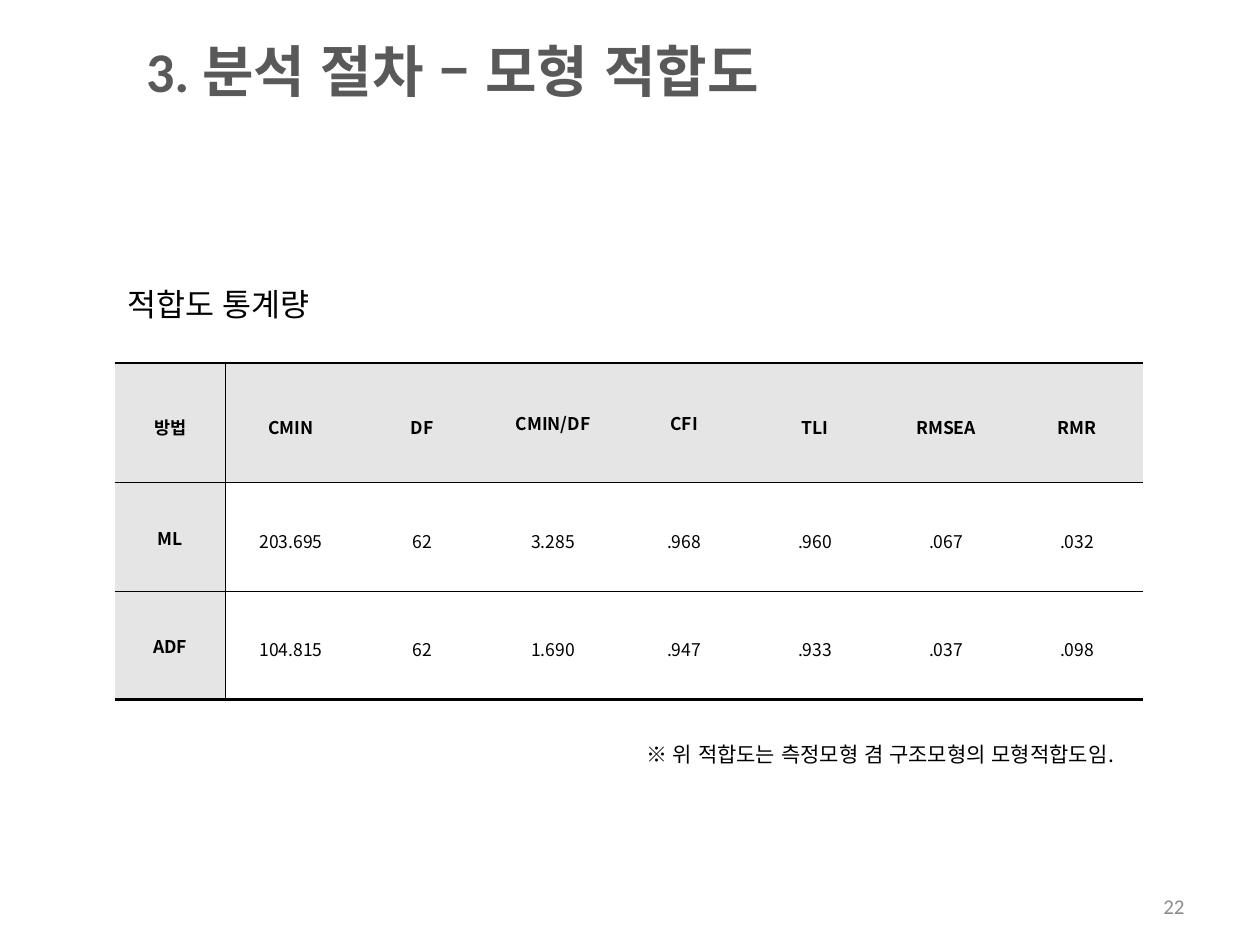
from dataclasses import dataclass

from lxml import etree
from pptx import Presentation
from pptx.dml.color import RGBColor
from pptx.enum.lang import MSO_LANGUAGE_ID
from pptx.enum.text import MSO_ANCHOR, MSO_AUTO_SIZE, PP_ALIGN
from pptx.oxml.ns import qn
from pptx.util import Inches, Pt

LEFT, CENTER = PP_ALIGN.LEFT, PP_ALIGN.CENTER
RIGHT, JUSTIFY = PP_ALIGN.RIGHT, PP_ALIGN.JUSTIFY
TOP, MIDDLE = MSO_ANCHOR.TOP, MSO_ANCHOR.MIDDLE
KOREAN = MSO_LANGUAGE_ID.KOREAN
NO_FIT = MSO_AUTO_SIZE.NONE
TITLE_ONLY = 5


@dataclass(frozen=True)
class Theme:
    text: str = "000000"
    title: str = "595959"
    number: str = "8C8C8C"
    header: str = "E5E5E5"
    rule: str = "000000"
    title_size: int = 32
    caption_size: int = 18
    note_size: int = 12
    table_size: int = 10
    thick: float = 1.7
    thin: float = 0.25
    latin: str = "Calibri"
    korean: str = "Noto Sans CJK KR"


THEME = Theme()

FIT_ROWS = [
    ["방법", "CMIN", "DF", "CMIN/DF", "CFI", "TLI", "RMSEA", "RMR"],
    ["ML", "203.695", "62", "3.285", ".968", ".960", ".067", ".032"],
    ["ADF", "104.815", "62", "1.690", ".947", ".933", ".037", ".098"],
]
SINGLE_SPACED = ("CMIN/DF", "CFI")


def write(para, text, size, color=THEME.text, font=THEME.latin, bold=False,
          align=LEFT, spacing=None):
    para.alignment = align
    if spacing:
        para.line_spacing = spacing
    span = para.add_run()
    span.text = text
    span.font.name = font
    span.font.size = Pt(size)
    span.font.bold = bold
    span.font.color.rgb = RGBColor.from_string(color)
    span.font.language_id = KOREAN


def place(shape, left, top, width, height):
    shape.left, shape.top = Inches(left), Inches(top)
    shape.width, shape.height = Inches(width), Inches(height)


def add_title(page, text):
    title = page.shapes.title
    place(title, 1.06, 0.12, 7.75, 0.87)
    frame = title.text_frame
    frame.vertical_anchor = MIDDLE
    frame.auto_size = NO_FIT
    write(frame.paragraphs[0], text, THEME.title_size, color=THEME.title, bold=True)


def add_text(page, area, text, size, anchor=TOP, **style):
    box = page.shapes.add_textbox(*map(Inches, area))
    box.text_frame.word_wrap = True
    box.text_frame.vertical_anchor = anchor
    para = box.text_frame.paragraphs[0]
    write(para, text, size, **style)
    return para


def set_borders(cell, **widths):
    properties = cell._tc.get_or_add_tcPr()
    for index, side in enumerate("LRTB"):
        width = widths.get(side)
        line = etree.Element(qn(f"a:ln{side}"))
        if width:
            line.set("w", str(Pt(width)))
            fill = etree.SubElement(line, qn("a:solidFill"))
            etree.SubElement(fill, qn("a:srgbClr"), val=THEME.rule)
        else:
            etree.SubElement(line, qn("a:noFill"))
        properties.insert(index, line)


def fill_cell(cell, text, row, column, last_row):
    is_header = row == 0 or column == 0
    if is_header:
        cell.fill.solid()
        cell.fill.fore_color.rgb = RGBColor.from_string(THEME.header)
    else:
        cell.fill.background()
    set_borders(
        cell,
        L=THEME.thin if column == 1 else None,
        R=THEME.thin if column == 0 else None,
        T=THEME.thick if row == 0 else THEME.thin,
        B=THEME.thick if row == last_row else THEME.thin,
    )
    cell.vertical_anchor = MIDDLE
    cell.margin_left = cell.margin_right = Inches(0.07)
    cell.margin_top = cell.margin_bottom = Inches(0.02)
    spacing = 1.1 if row and column == 0 else 1.3
    if text in SINGLE_SPACED:
        spacing = None
    font = THEME.latin if row == column == 0 else THEME.korean
    write(cell.text_frame.paragraphs[0], text, THEME.table_size, font=font,
          bold=is_header, align=CENTER, spacing=spacing)


def add_fit_table(page, rows):
    area = map(Inches, (0.91, 2.88, 8.19, 2.68))
    table = page.shapes.add_table(len(rows), len(rows[0]), *area).table
    table.horz_banding = False
    for index, column in enumerate(table.columns):
        column.width = Inches(1.04 if index else 0.88)
    for index, row in enumerate(table.rows):
        row.height = Inches(0.86 if index else 0.95)
    for row, values in enumerate(rows):
        for column, text in enumerate(values):
            fill_cell(table.cell(row, column), text, row, column, len(rows) - 1)


def main():
    deck = Presentation()
    deck.slide_width, deck.slide_height = Inches(10), Inches(7.5)
    page = deck.slides.add_slide(deck.slide_layouts[TITLE_ONLY])
    add_title(page, "3. 분석 절차 – 모형 적합도")
    add_fit_table(page, FIT_ROWS)
    note = add_text(page, (5.03, 5.72, 4.07, 0.39),
                    "※ 위 적합도는 측정모형 겸 구조모형의 모형적합도임",
                    THEME.note_size, align=JUSTIFY, spacing=1.6)
    write(note, ".", THEME.note_size, font=THEME.korean, align=JUSTIFY)
    add_text(page, (0.91, 2.21, 1.89, 0.4), "적합도 통계량", THEME.caption_size)
    add_text(page, (7.17, 7.03, 2.33, 0.32), "22", THEME.note_size,
             anchor=MIDDLE, color=THEME.number, align=RIGHT)
    deck.save("out.pptx")


if __name__ == "__main__":
    main()
